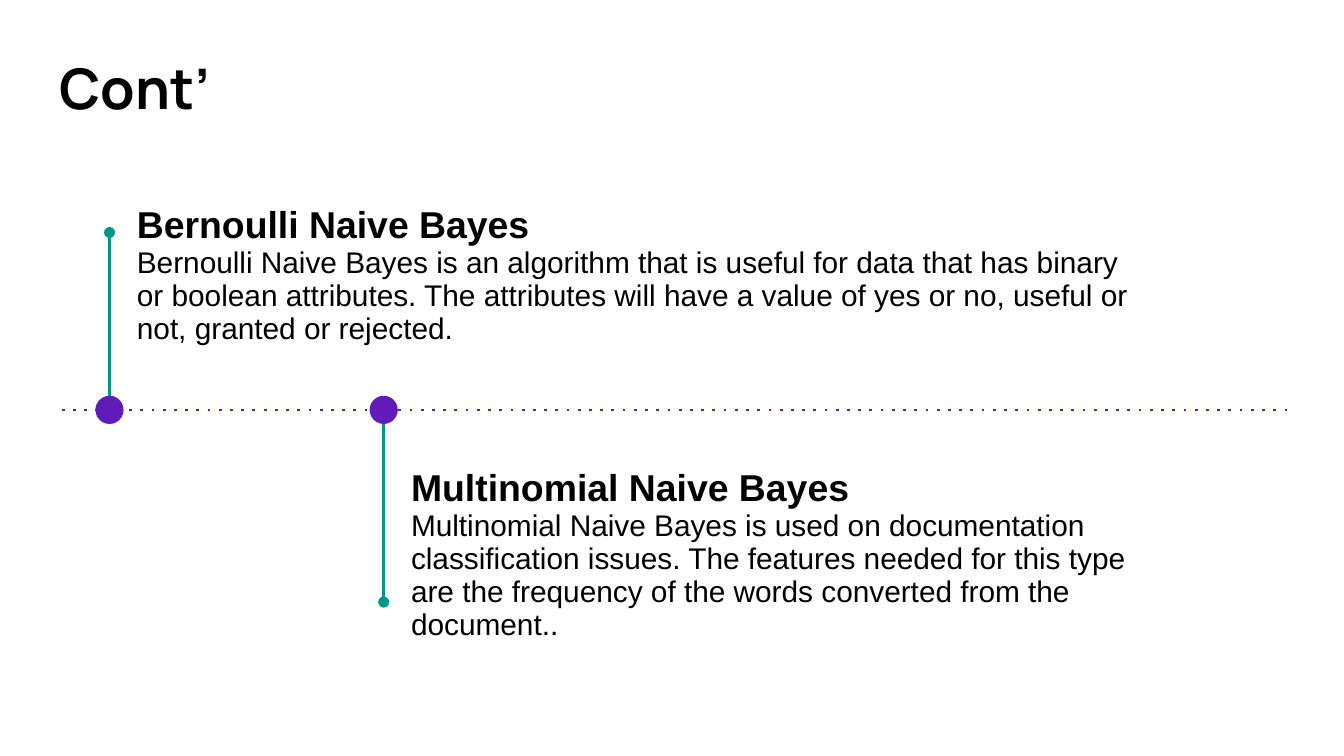
from dataclasses import dataclass

from lxml import etree
from pptx import Presentation
from pptx.dml.color import RGBColor
from pptx.enum.shapes import MSO_CONNECTOR, MSO_SHAPE
from pptx.enum.text import MSO_ANCHOR, PP_ALIGN
from pptx.oxml.ns import qn
from pptx.util import Inches, Pt

STRAIGHT = MSO_CONNECTOR.STRAIGHT
OVAL = MSO_SHAPE.OVAL
TOP = MSO_ANCHOR.TOP
LEFT = PP_ALIGN.LEFT


@dataclass(frozen=True)
class Theme:
    ink: str = "000000"
    axis: str = "611BB8"
    stem: str = "009688"
    title_font: str = "Manrope"
    body_font: str = "Arial"
    title_size: int = 30
    heading_size: int = 20
    body_size: int = 16
    line_width: float = 1.5


@dataclass(frozen=True)
class Milestone:
    dot_left: float
    stem_end: float
    text_top: float
    text_width: float
    heading: str
    body: str


THEME = Theme()
WIDTH = 10
HEIGHT = WIDTH * 9 / 16
AXIS_Y = 3.05
AXIS_START, AXIS_END = 0.46, 9.58
DOT = 0.21
TEXT_HEIGHT = 1.06
INSET = 0.1

MILESTONES = [
    Milestone(0.71, 1.73, 1.43, 7.71, "Bernoulli Naive Bayes",
              "Bernoulli Naive Bayes is an algorithm that is useful for data that has binary "
              "or boolean attributes. The attributes will have a value of yes or no, useful or "
              "not, granted or rejected."),
    Milestone(2.75, 4.48, 3.39, 5.75, "Multinomial Naive Bayes",
              "Multinomial Naive Bayes is used on documentation classification issues. The "
              "features needed for this type are the frequency of the words converted from "
              "the document.."),
]


def place(shape, left: float, top: float, width: float, height: float) -> None:
    shape.left, shape.top = Inches(left), Inches(top)
    shape.width, shape.height = Inches(width), Inches(height)


def prepare_frame(frame) -> None:
    frame.word_wrap = True
    frame.vertical_anchor = TOP
    frame.margin_left = frame.margin_right = Inches(INSET)
    frame.margin_top = frame.margin_bottom = Inches(INSET)


def write(para, text: str, *, size: int, font: str, bold: bool = False,
          spacing: float = 1.0) -> None:
    para.alignment = LEFT
    para.line_spacing = spacing
    para.space_before = para.space_after = Pt(0)
    span = para.add_run()
    span.text = text
    span.font.size = Pt(size)
    span.font.name = font
    span.font.bold = bold
    span.font.color.rgb = RGBColor.from_string(THEME.ink)


def draw_line(page, start: tuple[float, float], end: tuple[float, float], color: str,
              *, dash: str = "solid", tail: str = "none") -> None:
    line = page.shapes.add_connector(STRAIGHT, *map(Inches, start + end))
    line.line.color.rgb = RGBColor.from_string(color)
    line.line.width = Pt(THEME.line_width)
    outline = line.line._get_or_add_ln()
    etree.SubElement(outline, qn("a:prstDash"), val=dash)
    etree.SubElement(outline, qn("a:tailEnd"), type=tail)
    etree.SubElement(line._element.spPr, qn("a:effectLst"))


def draw_milestone(page, item: Milestone) -> None:
    # Stem, from the edge of the dot outwards
    center = item.dot_left + DOT / 2
    side = -1 if item.stem_end < AXIS_Y else 1
    draw_line(page, (center, AXIS_Y + side * DOT / 2), (center, item.stem_end),
              THEME.stem, tail="oval")

    # Dot on the axis
    dot = page.shapes.add_shape(OVAL, 0, 0, 0, 0)
    place(dot, item.dot_left, AXIS_Y - DOT / 2, DOT, DOT)
    dot.shadow.inherit = False
    dot.fill.solid()
    dot.fill.fore_color.rgb = RGBColor.from_string(THEME.axis)
    dot.line.fill.background()

    # Heading and description, starting at the right edge of the dot
    box = page.shapes.add_textbox(0, 0, 0, 0)
    place(box, item.dot_left + DOT, item.text_top, item.text_width, TEXT_HEIGHT)
    frame = box.text_frame
    prepare_frame(frame)
    write(frame.paragraphs[0], item.heading, size=THEME.heading_size,
          font=THEME.body_font, bold=True, spacing=0.92)
    write(frame.add_paragraph(), item.body, size=THEME.body_size,
          font=THEME.body_font, spacing=0.92)


def main() -> None:
    deck = Presentation()
    deck.slide_width, deck.slide_height = Inches(WIDTH), Inches(HEIGHT)
    page = deck.slides.add_slide(deck.slide_layouts.get_by_name("Title Only"))

    # Title
    title = page.shapes.title
    place(title, 0.34, 0.3, 9.32, 0.68)
    prepare_frame(title.text_frame)
    write(title.text_frame.paragraphs[0], "Cont’", size=THEME.title_size,
          font=THEME.title_font, bold=True)

    # Timeline
    draw_line(page, (AXIS_START, AXIS_Y), (AXIS_END, AXIS_Y), THEME.axis, dash="dot")
    for item in MILESTONES:
        draw_milestone(page, item)

    deck.save("out.pptx")


if __name__ == "__main__":
    main()
